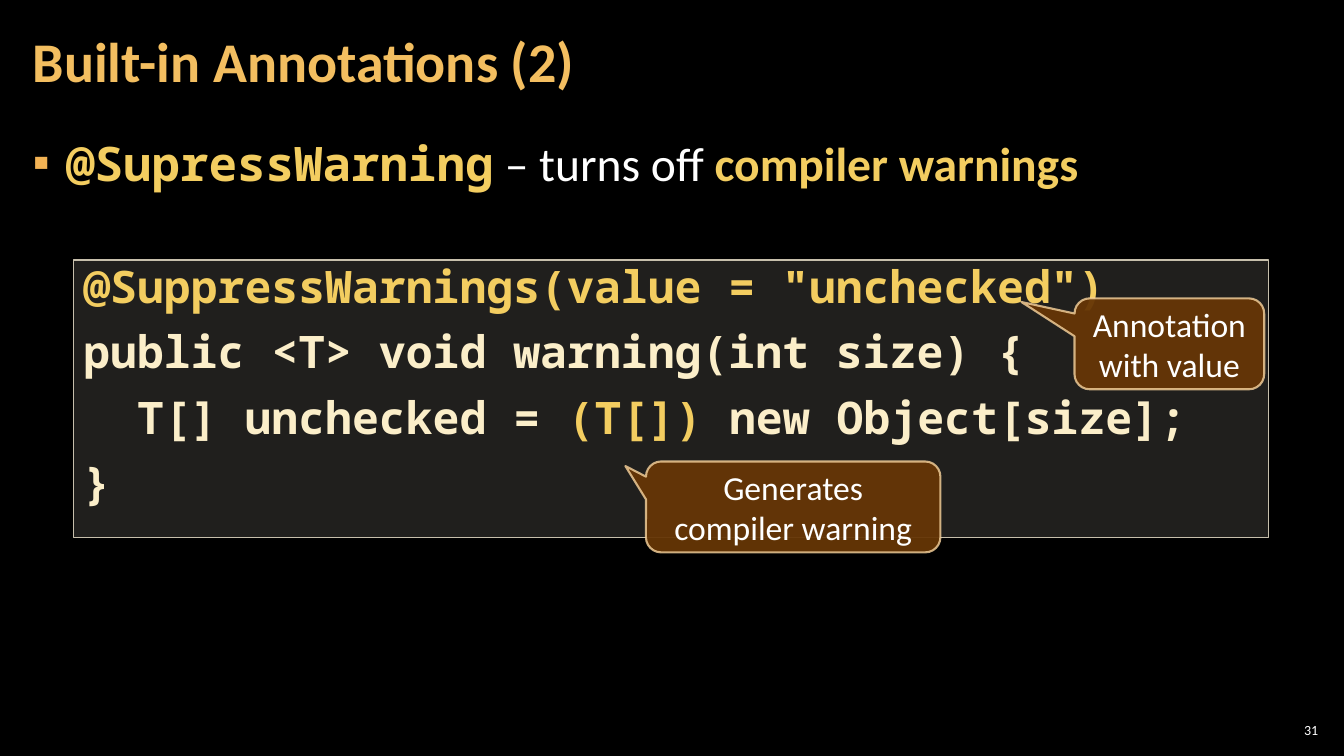
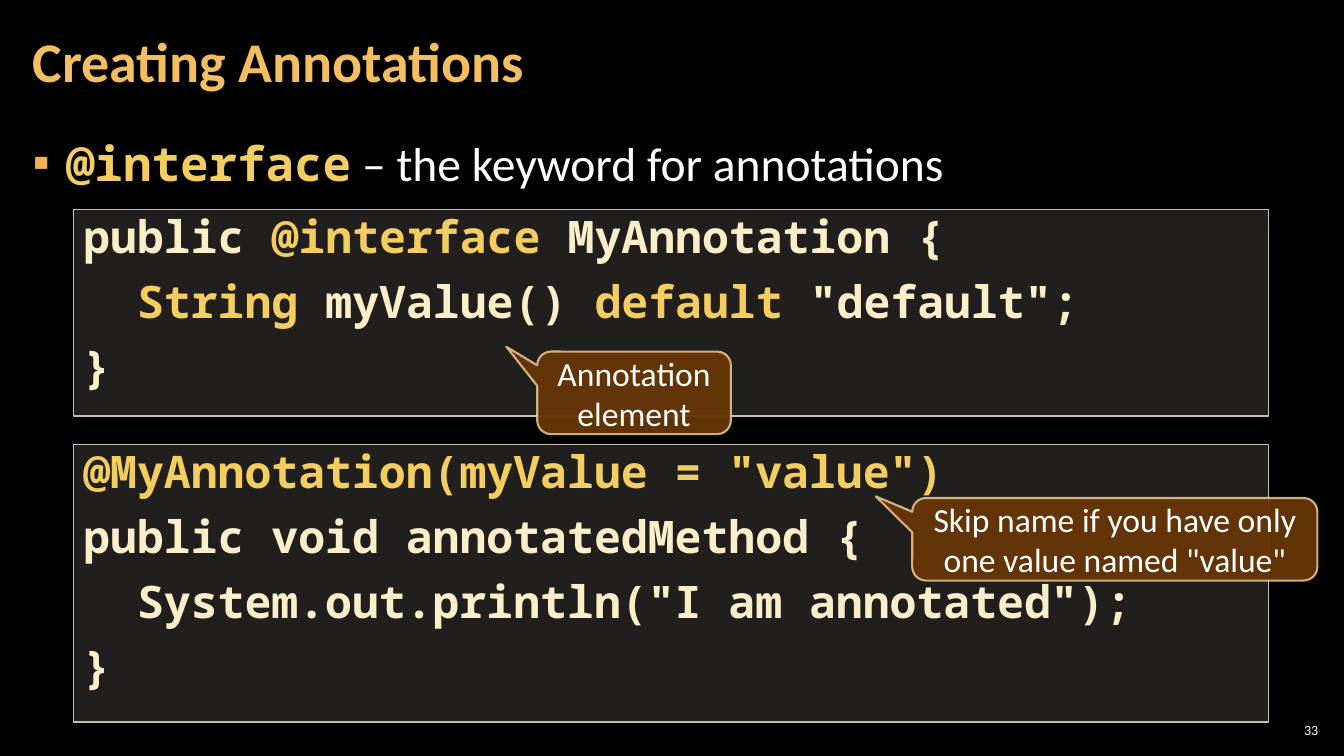
from lxml.etree import SubElement
from pptx import Presentation
from pptx.dml.color import RGBColor
from pptx.enum.shapes import MSO_SHAPE
from pptx.enum.text import MSO_ANCHOR, PP_ALIGN
from pptx.oxml.ns import qn
from pptx.util import Cm, Pt

COLORS = {
    "background": "000000", "title": "F3BE60", "bullet": "F2B254",
    "text": "FFFFFF", "highlight": "F3CD60", "code": "FBEEC9",
    "code_fill": "D9D5C7", "code_line": "C7BFAC",
    "callout_fill": "663606", "callout_line": "F8D49E",
}
SANS, MONO = "Calibri", "Noto Sans Mono"
CODE_LEFT, CODE_WIDTH = 1.85, 30.12
CODE_PITCH = 1.8

# Pieces between bars are highlighted; lengths are in centimetres.
SLIDES = [
    {
        "title": "Built-in Annotations (2)",
        "number": "31",
        "keyword": "@SupressWarning",
        "meaning": " – turns off |compiler warnings|",
        "code": [
            (6.55, ['|@SuppressWarnings(value = "unchecked")|',
                    "public <T> void warning(int size) {",
                    "  T[] unchecked = |(T[])| new Object[size];",
                    "}"]),
        ],
        "callouts": [
            ("Annotation with value", (27.08, 7.52, 4.78, 2.29), (-0.78, -0.46)),
            ("Generates compiler warning", (16.28, 11.63, 7.42, 2.29), (-0.57, -0.45)),
        ],
    },
    {
        "title": "Creating Annotations",
        "number": "33",
        "keyword": "@interface",
        "meaning": " – the keyword for annotations",
        "code": [
            (5.28, ["public |@interface| MyAnnotation {",
                    '  |String| myValue() |default| "default";',
                    "}"]),
            (11.2, ['|@MyAnnotation(myValue = "value")|',
                    "public void annotatedMethod {",
                    '  System.out.println("I am annotated");',
                    "}"]),
        ],
        "callouts": [
            ('Skip name if you have only one value named "value"',
             (22.99, 12.55, 10.21, 2.08), (-0.59, -0.52)),
            ("Annotation element", (13.54, 8.86, 4.88, 2.08), (-0.66, -0.56)),
        ],
    },
]


def rgb(name):
    return RGBColor.from_string(COLORS[name])


def add_run(p, text, size, font=SANS, color="text", bold=False):
    r = p.add_run()
    r.text = text
    r.font.size, r.font.name, r.font.bold = Pt(size), font, bold
    r.font.color.rgb = rgb(color)


def add_marked_runs(p, text, color="text", bold=False, **style):
    for i, piece in enumerate(text.split("|")):
        if piece:
            marked = i % 2 == 1
            add_run(p, piece, color="highlight" if marked else color,
                    bold=bold or marked, **style)


def write(sp, lines, anchor=MSO_ANCHOR.TOP, align=PP_ALIGN.LEFT, insets=(0.25, 0.13),
          spacing=None, gap=0, **style):
    """Fill a shape with one paragraph per line and return its first paragraph."""
    tf = sp.text_frame
    tf.word_wrap, tf.vertical_anchor = True, anchor
    tf.margin_left = tf.margin_right = Cm(insets[0])
    tf.margin_top = tf.margin_bottom = Cm(insets[1])
    for i, line in enumerate(lines):
        p = tf.add_paragraph() if i else tf.paragraphs[0]
        p.alignment = align
        if spacing:
            p.line_spacing = spacing
        if i and gap:
            p.space_before = Pt(gap)
        add_marked_runs(p, line, **style)
    return tf.paragraphs[0]


def add_box(s, at):
    return s.shapes.add_textbox(*map(Cm, at))


def add_panel(s, kind, at, fill, line, width, fill_alpha, line_alpha=100):
    sp = s.shapes.add_shape(kind, *map(Cm, at))
    sp.shadow.inherit = False
    sp.fill.solid()
    sp.fill.fore_color.rgb = rgb(fill)
    sp.line.color.rgb = rgb(line)
    sp.line.width = Pt(width)
    colors = sp._element.spPr.iter(qn("a:srgbClr"))
    for color, alpha in zip(list(colors), (fill_alpha, line_alpha)):
        if alpha < 100:
            SubElement(color, qn("a:alpha"), val=str(alpha * 1000))
    return sp


def add_bullet(p):
    pPr = p._p.get_or_add_pPr()
    pPr.set("marL", str(Cm(0.84)))
    pPr.set("indent", str(-Cm(0.84)))
    SubElement(SubElement(pPr, qn("a:buClr")), qn("a:srgbClr"), val=COLORS["bullet"])
    SubElement(pPr, qn("a:buFont"), typeface=SANS)
    SubElement(pPr, qn("a:buChar"), char="▪")


def add_definition(s, keyword, meaning):
    p = write(add_box(s, (0.53, 3.2, 32.79, 15.47)), [""], insets=(0.3, 0.1))
    add_bullet(p)
    p.line_spacing = 1.05
    p.space_after = Pt(6)
    add_run(p, keyword, 34, MONO, "highlight", True)
    add_marked_runs(p, meaning, size=34)


def add_code(s, top, lines):
    at = (CODE_LEFT, top, CODE_WIDTH, len(lines) * CODE_PITCH - 0.2)
    sp = add_panel(s, MSO_SHAPE.RECTANGLE, at, "code_fill", "code_line", 1, 15)
    write(sp, lines, spacing=0.9, gap=12, size=32, font=MONO, color="code", bold=True)


def add_callout(s, text, at, tip):
    sp = add_panel(s, MSO_SHAPE.ROUNDED_RECTANGULAR_CALLOUT, at,
                   "callout_fill", "callout_line", 1.5, 95, 80)
    sp.adjustments[0], sp.adjustments[1] = tip
    write(sp, [text], MSO_ANCHOR.MIDDLE, PP_ALIGN.CENTER, size=24)


def add_slide(prs, content):
    s = prs.slides.add_slide(prs.slide_layouts[6])
    add_definition(s, content["keyword"], content["meaning"])
    write(add_box(s, (32.13, 18.14, 1.19, 0.53)), [content["number"]],
          MSO_ANCHOR.MIDDLE, PP_ALIGN.RIGHT, insets=(0.1, 0.1), size=10)
    write(add_box(s, (0.53, 0.1, 26.59, 3.07)), [content["title"]], MSO_ANCHOR.MIDDLE,
          insets=(0.3, 0.1), spacing=0.9, size=40, color="title", bold=True)
    for top, lines in content["code"]:
        add_code(s, top, lines)
    for callout in content["callouts"]:
        add_callout(s, *callout)


def main():
    prs = Presentation()
    prs.slide_width, prs.slide_height = Cm(33.87), Cm(19.05)
    background = prs.slide_master.background.fill
    background.solid()
    background.fore_color.rgb = rgb("background")
    for content in SLIDES:
        add_slide(prs, content)
    prs.save("out.pptx")


if __name__ == "__main__":
    main()
